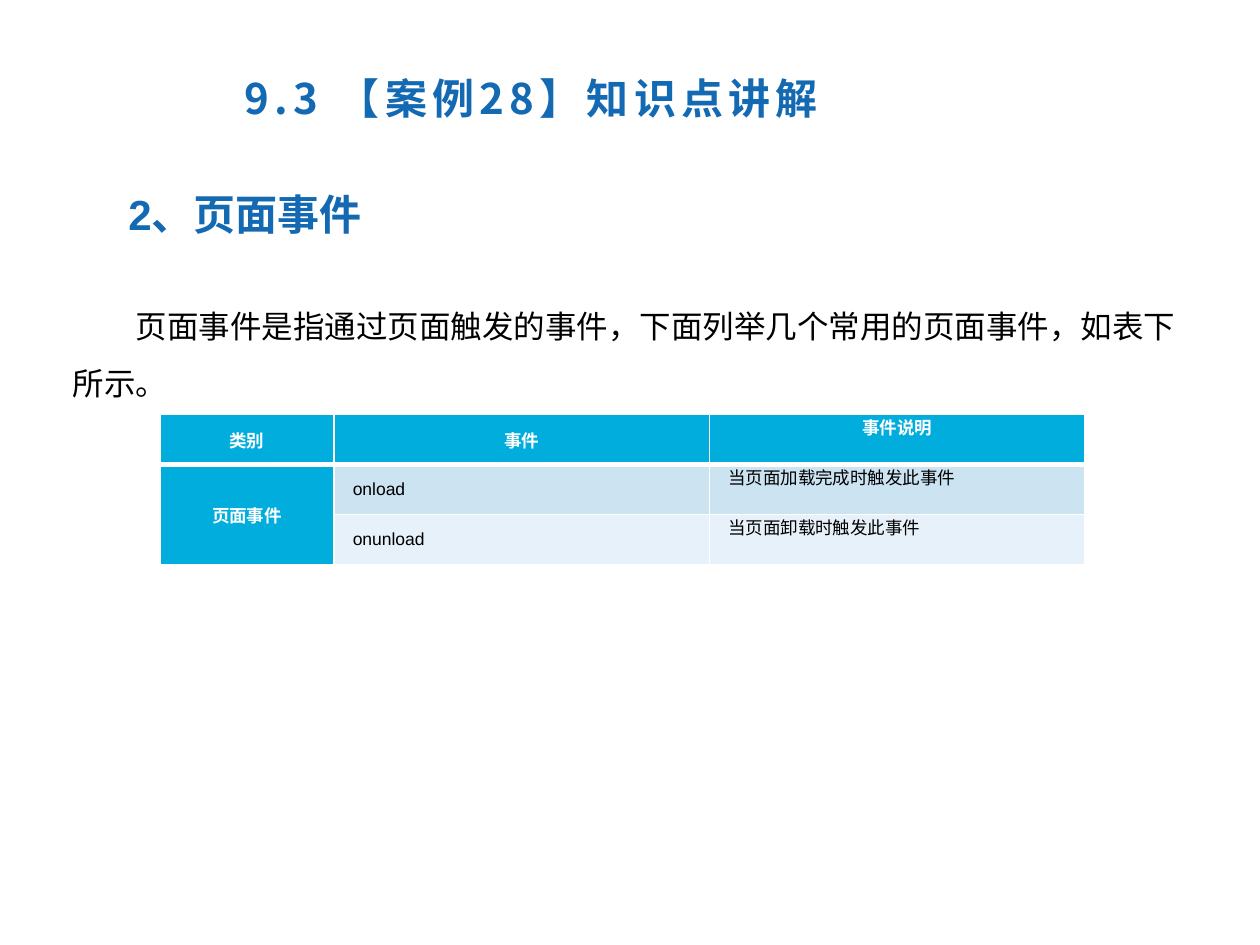
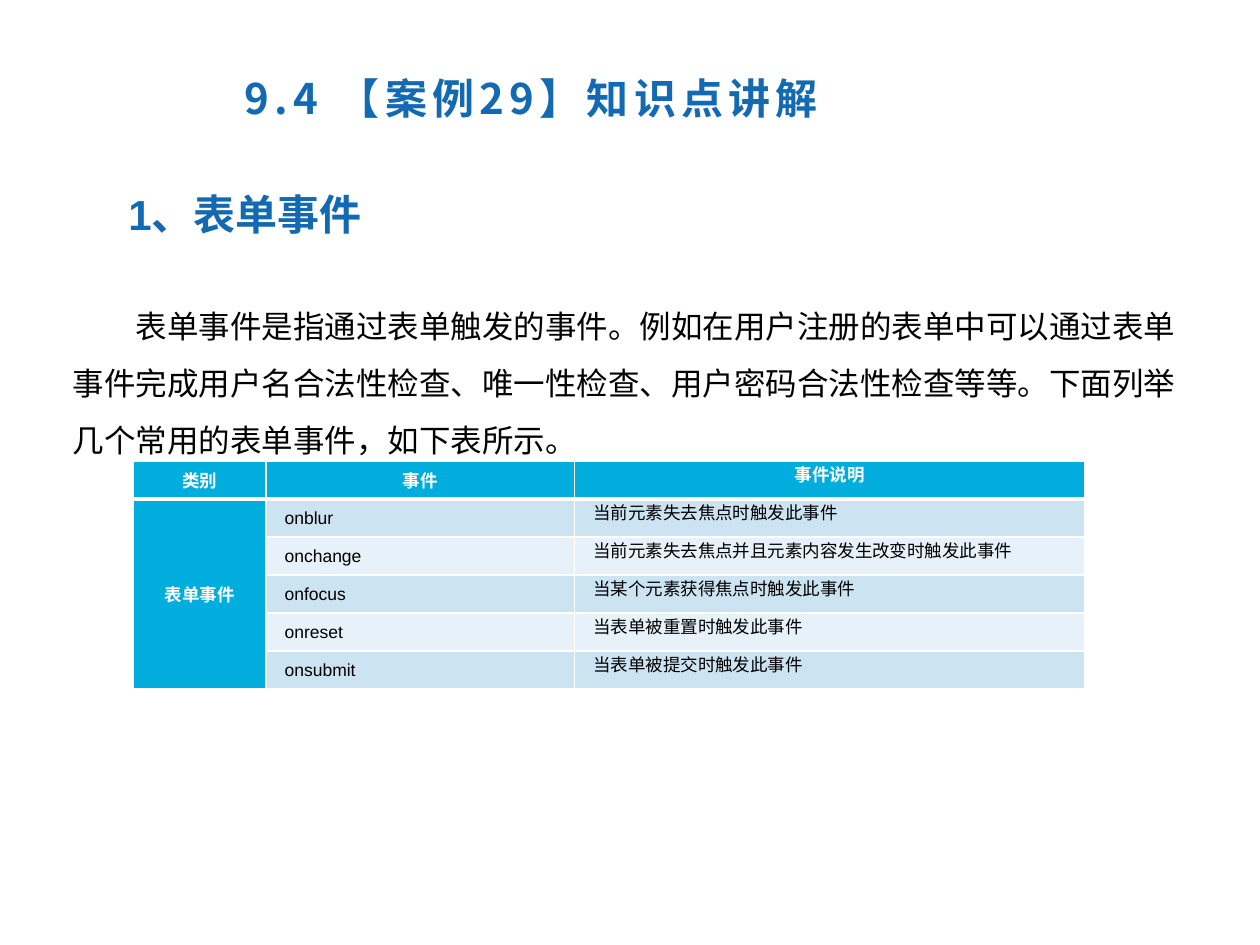
from lxml import etree
from pptx import Presentation
from pptx import util as u
from pptx.dml.color import RGBColor
from pptx.enum import text
from pptx.oxml.ns import qn

COLORS = {
    "accent": "1369B2",
    "header": "00ADDC",
    "band_dark": "CCE3F2",
    "band_light": "E7F1F9",
    "white": "FFFFFF",
    "black": "000000",
}
LATIN_FONT = "Arial"
CHINESE_FONT = "Noto Sans CJK SC"
TABLE_HEADINGS = ["类别", "事件", "事件说明"]

LESSONS = [
    {
        "title": "9.3 【案例28】知识点讲解",
        "heading": "2、页面事件",
        "body": "页面事件是指通过页面触发的事件，下面列举几个常用的页面事件，如表下所示。",
        "category": "页面事件",
        "events": [
            ("onload", "当页面加载完成时触发此事件"),
            ("onunload", "当页面卸载时触发此事件"),
        ],
        "table_at": (1.27, 3.29),
        "table_height": 1.19,
        "columns": (1.38, 2.98, 2.98),
    },
    {
        "title": "9.4 【案例29】知识点讲解",
        "heading": "1、表单事件",
        "body": "表单事件是指通过表单触发的事件。例如在用户注册的表单中可以通过表单"
                "事件完成用户名合法性检查、唯一性检查、用户密码合法性检查等等。"
                "下面列举几个常用的表单事件，如下表所示。",
        "category": "表单事件",
        "events": [
            ("onblur", "当前元素失去焦点时触发此事件"),
            ("onchange", "当前元素失去焦点并且元素内容发生改变时触发此事件"),
            ("onfocus", "当某个元素获得焦点时触发此事件"),
            ("onreset", "当表单被重置时触发此事件"),
            ("onsubmit", "当表单被提交时触发此事件"),
        ],
        "table_at": (1.06, 3.66),
        "table_height": 1.81,
        "columns": (1.05, 2.45, 4.05),
    },
]


class LessonDeck:
    """Holds the shared style and the slide being filled."""

    def __init__(self):
        self.presentation = Presentation()
        self.presentation.slide_width = u.Inches(10)
        self.presentation.slide_height = u.Inches(7.5)
        self.slide = None

    def new_slide(self):
        self.slide = self.presentation.slides.add_slide(self.presentation.slide_layouts[6])

    def format_runs(self, paragraph, size, color, bold=False, font=LATIN_FONT):
        for run in paragraph.runs:
            run.font.size = u.Pt(size)
            run.font.bold = bold
            run.font.name = font
            run.font.color.rgb = RGBColor.from_string(COLORS[color])
            east_asian = etree.Element(qn("a:ea"), typeface=CHINESE_FONT)
            run.font._element.find(qn("a:latin")).addnext(east_asian)

    def text_box(self, left, top, width, height, content):
        shape = self.slide.shapes.add_textbox(*map(u.Inches, (left, top, width, height)))
        shape.text_frame.word_wrap = True
        shape.text_frame.text = content
        return shape.text_frame.paragraphs[0]

    def title(self, content):
        paragraph = self.text_box(1.84, 0.53, 8.1, 0.79, content)
        self.format_runs(paragraph, 24, "accent", bold=True, font=CHINESE_FONT)
        for run in paragraph.runs:
            run.font._element.set("spc", "300")

    def heading(self, content):
        paragraph = self.text_box(0.42, 1.45, 8.43, 0.5, content)
        self.format_runs(paragraph, 24, "accent", bold=True)
        paragraph._p.get_or_add_pPr().set("marL", str(u.Inches(0.5)))

    def body(self, content):
        paragraph = self.text_box(0.48, 2.24, 9, 1.63, content)
        paragraph.line_spacing = 1.5
        self.format_runs(paragraph, 18, "black")
        paragraph._p.get_or_add_pPr().set("indent", str(u.Inches(0.5)))

    def border(self, cell, bottom_width):
        """Draws white cell edges; they must precede the fill in the cell properties."""
        properties = cell._tc.get_or_add_tcPr()
        widths = {"lnL": 1, "lnR": 1, "lnT": 1, "lnB": bottom_width}
        for position, (edge, width) in enumerate(widths.items()):
            line = etree.Element(qn(f"a:{edge}"), w=str(u.Pt(width)))
            fill = etree.SubElement(line, qn("a:solidFill"))
            etree.SubElement(fill, qn("a:srgbClr"), val=COLORS["white"])
            properties.insert(position, line)

    def cell(self, cell, content, fill, heading=False, middle=True, bottom_width=1):
        cell.text = content
        cell.margin_top = cell.margin_bottom = 0
        cell.margin_left = u.Inches(0.07 if heading else 0.15)
        cell.margin_right = u.Inches(0.07)
        cell.vertical_anchor = text.MSO_ANCHOR.MIDDLE if middle else text.MSO_ANCHOR.TOP
        cell.fill.solid()
        cell.fill.fore_color.rgb = RGBColor.from_string(COLORS[fill])
        paragraph = cell.text_frame.paragraphs[0]
        paragraph.alignment = text.PP_ALIGN.CENTER if heading else text.PP_ALIGN.LEFT
        self.format_runs(paragraph, 10, "white" if heading else "black", bold=heading)
        self.border(cell, bottom_width)

    def event_table(self, category, events, position, height, columns):
        row_count = len(events) + 1
        left, top = map(u.Inches, position)
        table = self.slide.shapes.add_table(
            row_count, len(columns), left, top, u.Inches(sum(columns)), u.Inches(height)
        ).table
        for column, width in zip(table.columns, columns):
            column.width = u.Inches(width)
        for index, name in enumerate(TABLE_HEADINGS):
            self.cell(table.cell(0, index), name, "header", heading=True,
                      middle=index < 2, bottom_width=3)
        for row, (event, description) in enumerate(events, start=1):
            band = "band_dark" if row % 2 else "band_light"
            self.cell(table.cell(row, 0), category if row == 1 else "", "header", heading=True)
            self.cell(table.cell(row, 1), event, band)
            self.cell(table.cell(row, 2), description, band, middle=False)
        table.cell(1, 0).merge(table.cell(row_count - 1, 0))


def main():
    deck = LessonDeck()
    for lesson in LESSONS:
        deck.new_slide()
        deck.title(lesson["title"])
        deck.body(lesson["body"])
        deck.heading(lesson["heading"])
        deck.event_table(lesson["category"], lesson["events"], lesson["table_at"],
                         lesson["table_height"], lesson["columns"])
    deck.presentation.save("out.pptx")


if __name__ == "__main__":
    main()
